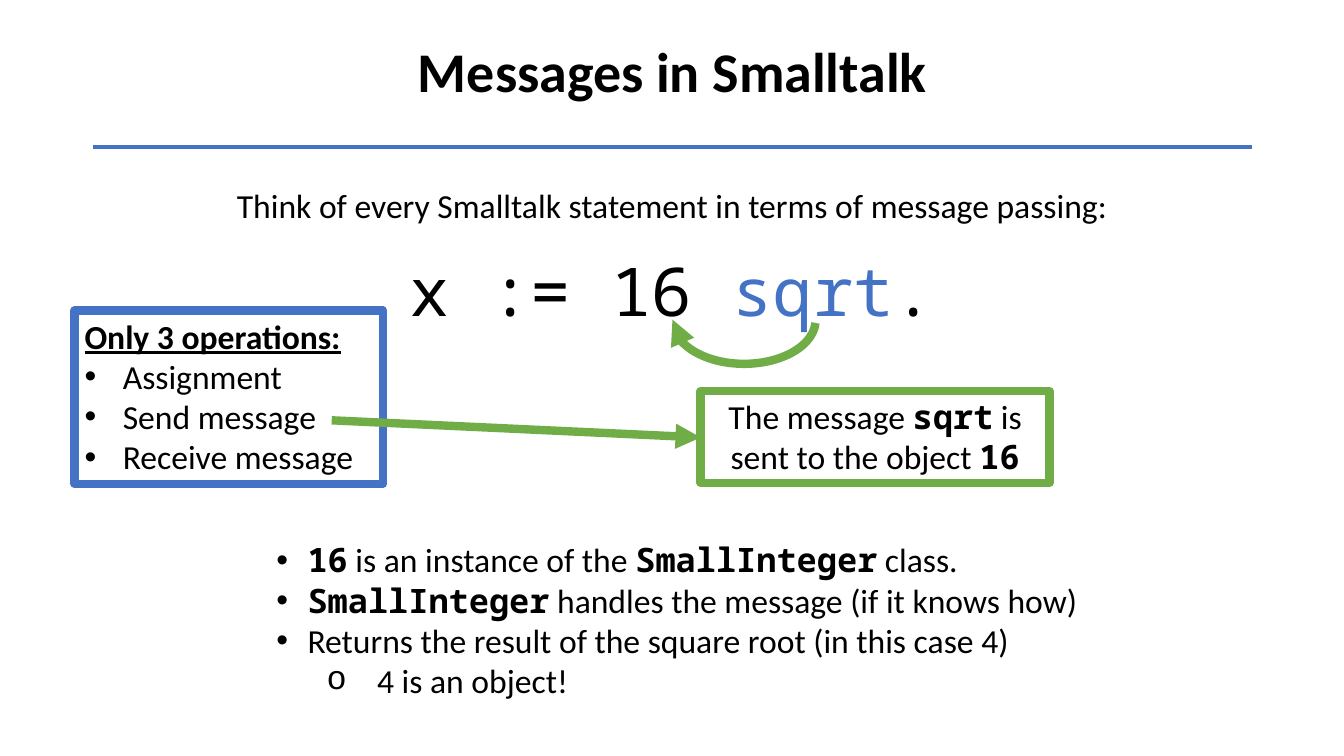
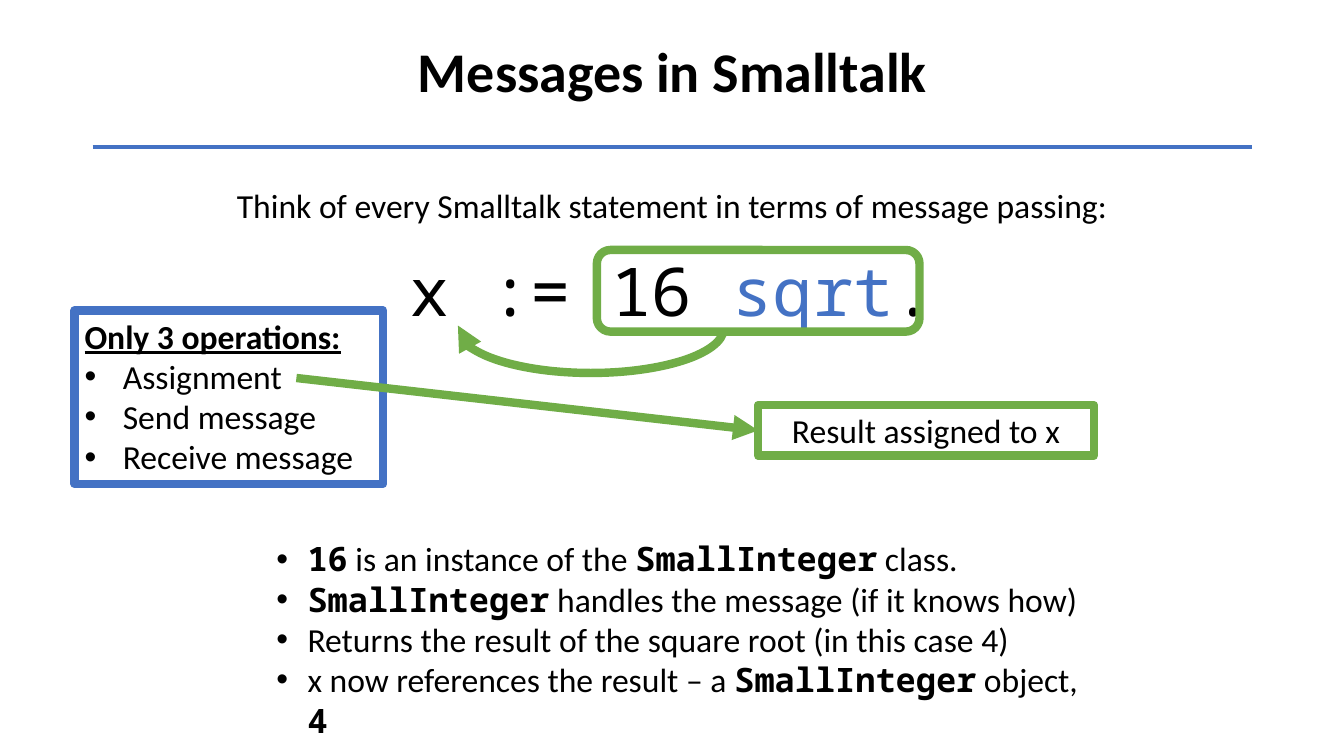
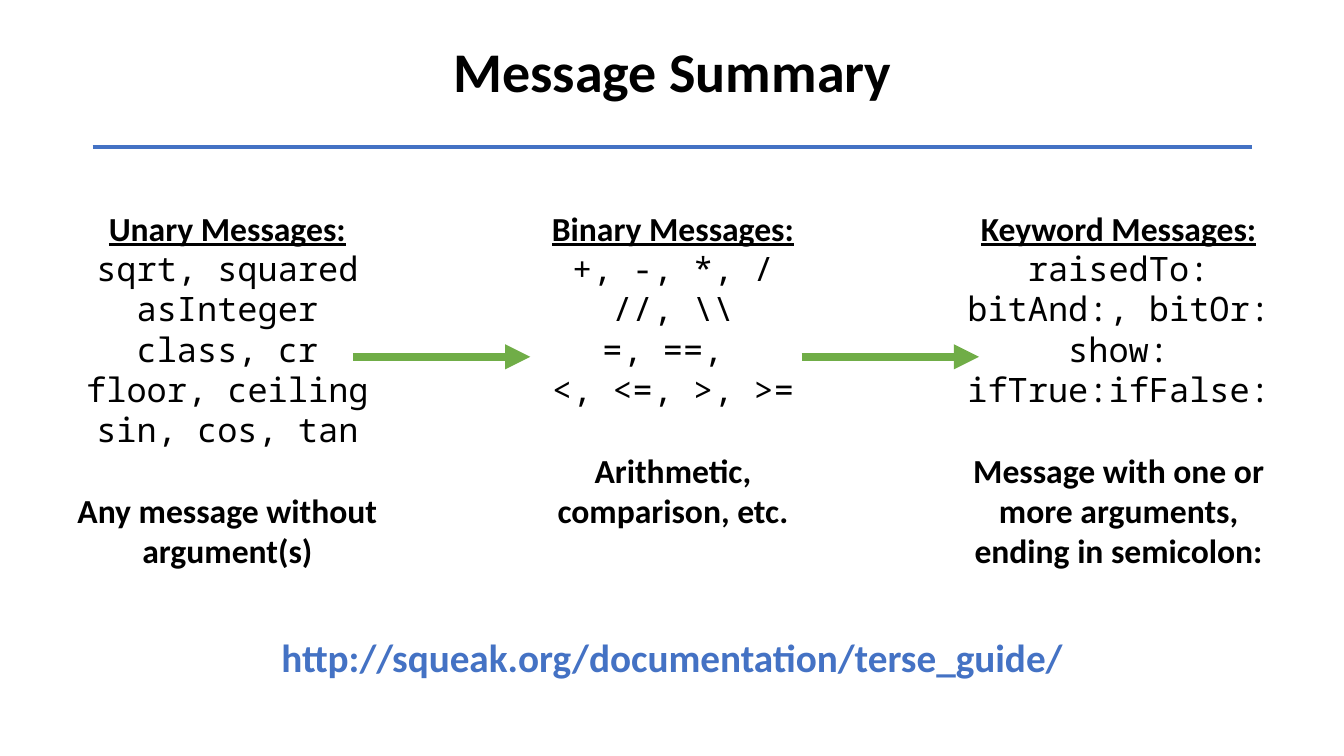
from lxml.etree import SubElement
from pptx import Presentation
from pptx.dml.color import RGBColor
from pptx.enum.shapes import MSO_CONNECTOR as LINK, MSO_SHAPE as KIND
from pptx.enum.text import MSO_ANCHOR as ANCHOR, MSO_AUTO_SIZE as FIT, PP_ALIGN as ALIGN
from pptx.oxml.ns import qn
from pptx.util import Pt

PX = 9144  # 100 px to the inch
BLACK, BLUE, GREEN = "000000", "4472C4", "70AD47"
tint = RGBColor.from_string

TEXT = {"name": "Calibri", "size": Pt(24), "bold": False, "color": BLACK}
BOLD = TEXT | {"bold": True}
HEAD = BOLD | {"underline": True}
MONO = TEXT | {"name": "Noto Sans Mono"}
TERM = MONO | {"bold": True}
CODE = MONO | {"size": Pt(48)}
TITLE = BOLD | {"size": Pt(40)}
LINK_TEXT = BOLD | {"size": Pt(28), "color": BLUE}

# Bullet marks: left margin, hang, typeface, sign
STEP = {"mark": (38, 38, "Arial", "•")}
ITEM = {"mark": (31, 31, "Arial", "•")}
SUB = {"mark": (100, 50, "Courier New", "o"), "level": 1}


def write(frame, rows, align=ALIGN.CENTER, anchor=ANCHOR.TOP, alt=TERM):
    """Fill a frame with (text, font, paragraph format) rows; `marked` words take alt."""
    frame.word_wrap, frame.auto_size, frame.vertical_anchor = True, FIT.NONE, anchor
    for n, (text, font, form) in enumerate(rows):
        para = frame.add_paragraph() if n else frame.paragraphs[0]
        form = {"alignment": align, "space_before": Pt(0)} | form
        mark = form.pop("mark", None)
        for key, value in form.items():
            setattr(para, key, value)
        if mark:
            left, hang, face, sign = mark
            prop = para._p.get_or_add_pPr()
            prop.set("marL", str(left * PX))
            prop.set("indent", str(-hang * PX))
            SubElement(prop, qn("a:buFont"), typeface=face)
            SubElement(prop, qn("a:buChar"), char=sign)
        for k, part in enumerate(text.split("`")):
            if not part:
                continue
            run = para.add_run()
            run.text = part
            for key, value in (alt if k % 2 else font).items():
                if key == "color":
                    run.font.color.rgb = tint(value)
                else:
                    setattr(run.font, key, value)


def stroke(shape, color, width=6, arrow=False):
    """Outline a shape or line, without fill or shadow."""
    if hasattr(shape, "fill"):
        shape.fill.background()
        shape.shadow.inherit = False
    else:
        SubElement(shape._element.spPr, qn("a:effectLst"))
    shape.line.color.rgb = tint(color)
    shape.line.width = Pt(width)
    if arrow:
        SubElement(shape.line._get_or_add_ln(), qn("a:tailEnd"), type="triangle")


deck = Presentation()
deck.slide_width, deck.slide_height = 1333 * PX, 750 * PX

# Title and rule on every slide
for title, layout in (("Messages in Smalltalk", 1), ("Messages in Smalltalk", 1),
                      ("Message Summary", 5)):
    slide = deck.slides.add_slide(deck.slide_layouts[layout])
    head = slide.shapes.title
    head.left, head.top, head.width, head.height = (n * PX for n in (92, 1, 1150, 145))
    write(head.text_frame, [(title, TITLE, {"line_spacing": 0.9})], anchor=ANCHOR.MIDDLE)
    rule = slide.shapes.add_connector(LINK.STRAIGHT, *(n * PX for n in (92, 146, 1242, 146)))
    stroke(rule, BLUE, 3)

# Message passing, step by step
steps = [("Only 3 operations:", HEAD, {})]
steps += [(name, TEXT, STEP) for name in ("Assignment", "Send message", "Receive message")]
facts = [(fact, TEXT, ITEM) for fact in (
    "`16` is an instance of the `SmallInteger` class.",
    "`SmallInteger` handles the message (if it knows how)",
    "Returns the result of the square root (in this case 4)")]
scenes = [
    {"note": "The message `sqrt` is sent to the object `16`", "box": (695, 388, 346, 91),
     "arc": (667, 274, 142, 87), "sweep": 108.18, "arrow": (329, 417, 695, 434),
     "last": ("4 is an object!", TEXT, SUB), "list": (264, 530, 862, 172)},
    {"note": "Result assigned to x", "box": (752, 402, 333, 50),
     "arc": (454, 281, 264, 89), "sweep": 108.66, "arrow": (294, 375, 752, 427),
     "last": ("x now references the result – a `SmallInteger` object, `4`", TEXT, ITEM),
     "list": (264, 529, 842, 172), "frame": (592, 248, 320, 81)},
]
for slide, scene in zip(deck.slides, scenes):
    shapes = slide.shapes
    body = slide.placeholders[1]
    body.left, body.top, body.width, body.height = (n * PX for n in scene["list"])
    write(body.text_frame, facts + [scene["last"]], ALIGN.LEFT)

    lead = "Think of every Smalltalk statement in terms of message passing:"
    for text, font, at in ((lead, TEXT, (0, 179, 1333, 50)),
                           ("x := 16 `sqrt`.", CODE, (227, 242, 879, 91))):
        box = shapes.add_textbox(*(n * PX for n in at))
        write(box.text_frame, [(text, font, {})], alt=CODE | {"color": BLUE})

    for rows, color, align, at in (
            (steps, BLUE, ALIGN.LEFT, (74, 308, 306, 172)),
            ([(scene["note"], TEXT, {})], GREEN, ALIGN.CENTER, scene["box"])):
        box = shapes.add_shape(KIND.RECTANGLE, *(n * PX for n in at))
        stroke(box, color)
        write(box.text_frame, rows, align)

    arc = shapes.add_shape(KIND.ARC, *(n * PX for n in scene["arc"]))
    arc.adjustments[0], arc.adjustments[1] = 1.41, scene["sweep"]
    stroke(arc, GREEN, arrow=True)
    if "frame" in scene:
        frame = shapes.add_shape(KIND.ROUNDED_RECTANGLE, *(n * PX for n in scene["frame"]))
        stroke(frame, GREEN)
    arrow = shapes.add_connector(LINK.STRAIGHT, *(n * PX for n in scene["arrow"]))
    stroke(arrow, GREEN, arrow=True)

# Summary of the three message kinds
shapes = deck.slides[2].shapes
kinds = [
    ("Unary Messages:", "Any message without argument(s)",
     ["sqrt, squared", "asInteger", "class, cr", "floor, ceiling", "sin, cos, tan"]),
    ("Binary Messages:", "Arithmetic, comparison, etc.",
     ["+, -, *, /", r"//, \\", "=, ==, ", "<, <=, >, >="]),
    ("Keyword Messages:", "Message with one or more arguments, ending in semicolon:",
     ["raisedTo:", "bitAnd:, bitOr:", "show:", "ifTrue:ifFalse:"]),
]
for n, (name, gist, samples) in enumerate(kinds):
    box = shapes.add_textbox(*(v * PX for v in (54 + 442 * n, 201, 343, 374)))
    rows = [(name, HEAD, {})] + [(sample, MONO, {}) for sample in samples]
    write(box.text_frame, rows + [(gist, BOLD, {"space_before": Pt(29)})])
for left in (350, 795):
    arrow = shapes.add_connector(LINK.STRAIGHT, *(v * PX for v in (left, 354, left + 176, 354)))
    stroke(arrow, GREEN, arrow=True)
guide = shapes.add_textbox(*(v * PX for v in (60, 623, 1213, 57)))
# The address holds no marked words
write(guide.text_frame, [("http://squeak.org/documentation/terse_guide/", LINK_TEXT, {})])

deck.save("out.pptx")
